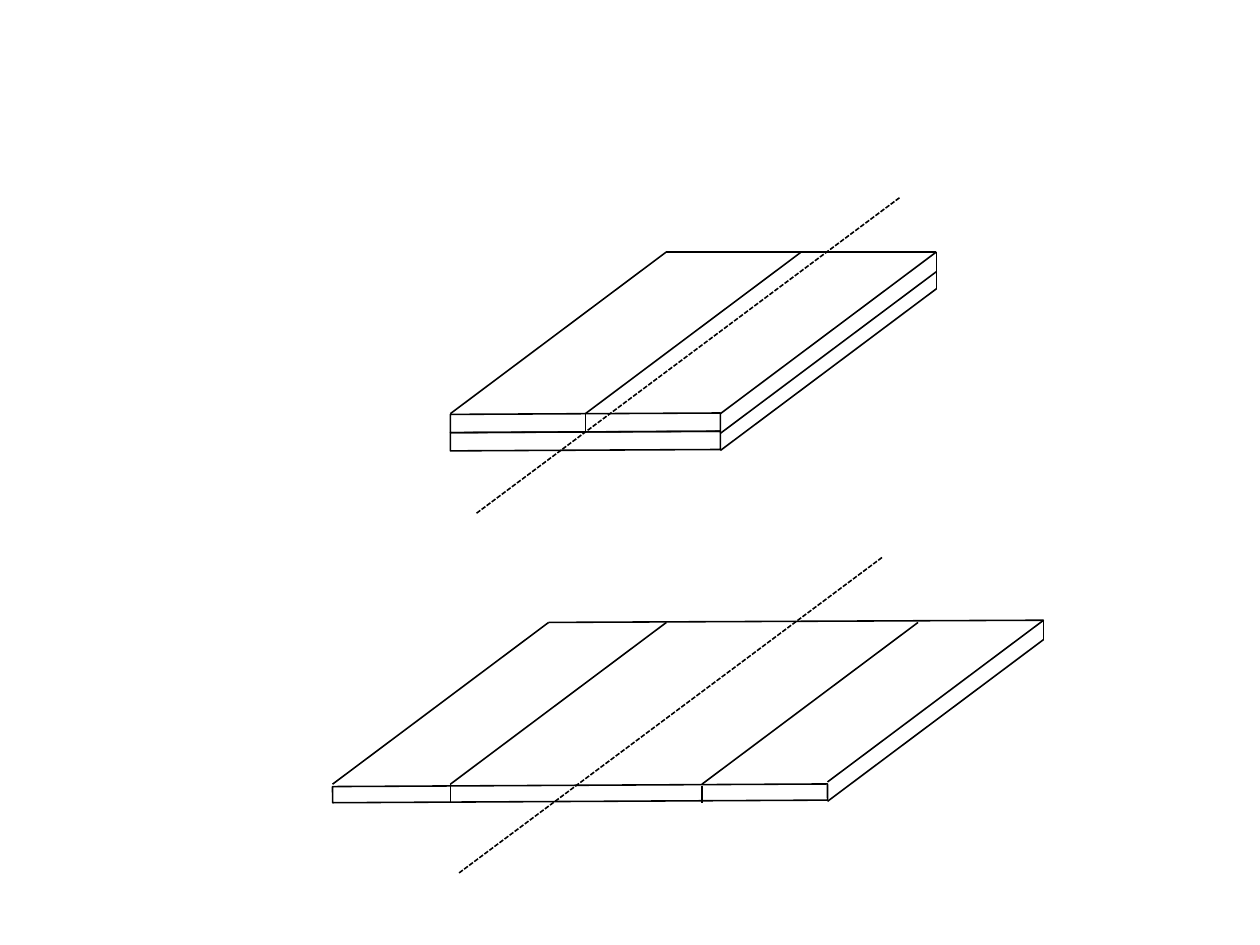
from dataclasses import dataclass

from lxml.etree import SubElement
from pptx import Presentation
from pptx.dml.color import RGBColor
from pptx.enum.dml import MSO_LINE
from pptx.enum.shapes import MSO_CONNECTOR, MSO_SHAPE
from pptx.oxml.ns import qn
from pptx.util import Pt


@dataclass(frozen=True)
class Theme:
    ink: RGBColor = RGBColor(0, 0, 0)
    stroke: float = 1
    tilt: float = 359.7


THEME = Theme()
DEPTH = (136.1, -101.9)   # from a front edge to the back edge
AXIS = (266.4, -198.7)    # length of a fold axis
TOP, BOTTOM = 0, 2        # connection sites of a rectangle


def style_line(line):
    line.color.rgb = THEME.ink
    line.width = Pt(THEME.stroke)


def add_edge(shapes, x1, y1, x2, y2, dashed=False):
    s = shapes.add_connector(MSO_CONNECTOR.STRAIGHT, Pt(x1), Pt(y1), Pt(x2), Pt(y2))
    style_line(s.line)
    if dashed:
        s.line.dash_style = MSO_LINE.SQUARE_DOT
    SubElement(s._element.spPr, qn("a:effectLst"))
    return s


def add_ray(shapes, x, y, step, dashed=False):
    return add_edge(shapes, x, y, x + step[0], y + step[1], dashed)


def add_front(shapes, x, y, width, height):
    s = shapes.add_shape(MSO_SHAPE.RECTANGLE, Pt(x), Pt(y), Pt(width), Pt(height))
    s.shadow.inherit = False
    s.fill.background()
    style_line(s.line)
    s.rotation = THEME.tilt
    return s


def add_folded_sheet(shapes):
    left, top, width, layer = 283.7, 260.6, 170.1, 11.5
    middle, right = left + width / 2, left + width

    # Front faces of the two layers, with the seam of the upper one
    front = shapes.add_group_shape().shapes
    add_front(front, left, top + layer, width, layer)
    upper = add_front(front, left, top, width, layer)
    seam = add_edge(front, middle, top, middle, top + layer)
    seam.begin_connect(upper, TOP)
    seam.end_connect(upper, BOTTOM)

    # Edges running back
    for x, y in ((left, top), (right, top), (right, 273), (right, 283.8)):
        add_ray(shapes, x, y, DEPTH)
    add_ray(shapes, middle, top, DEPTH).begin_connect(upper, TOP)

    # Back and right edges, fold axis
    back_right, back = right + DEPTH[0], top + DEPTH[1]
    add_edge(shapes, left + DEPTH[0], back, back_right, back)
    add_edge(shapes, back_right, 182, back_right, back)
    add_ray(shapes, 300.2, 323.3, AXIS, dashed=True)


def add_open_sheet(shapes):
    left, top, width, layer = 209.5, 494, 311.8, 10.2
    right, right_top, right_bottom = left + width, 492.6, 504.8
    seams = ((283.7, 494), (442.2, 494.9))   # x and top of each front seam

    # Front face and its seams
    add_front(shapes, left, 494.7, width, layer)
    for x, y in seams:
        add_edge(shapes, x, y, x, y + 11.2)

    # Edges running back
    for x in (left, *(x for x, _ in seams)):
        add_ray(shapes, x, top, DEPTH)
    for y in (right_top, right_bottom):
        add_ray(shapes, right, y, DEPTH)

    # Back and right edges, fold axis
    back_right, back = right + DEPTH[0], right_top + DEPTH[1]
    add_edge(shapes, left + DEPTH[0], top + DEPTH[1], back_right, back)
    add_edge(shapes, back_right, right_bottom + DEPTH[1], back_right, back)
    add_ray(shapes, 289.2, 549.9, AXIS, dashed=True)


def main():
    prs = Presentation()
    prs.slide_width, prs.slide_height = Pt(793.7), Pt(595.3)
    slide = prs.slides.add_slide(prs.slide_layouts[6])
    add_folded_sheet(slide.shapes)
    add_open_sheet(slide.shapes)
    prs.save("out.pptx")


if __name__ == "__main__":
    main()
